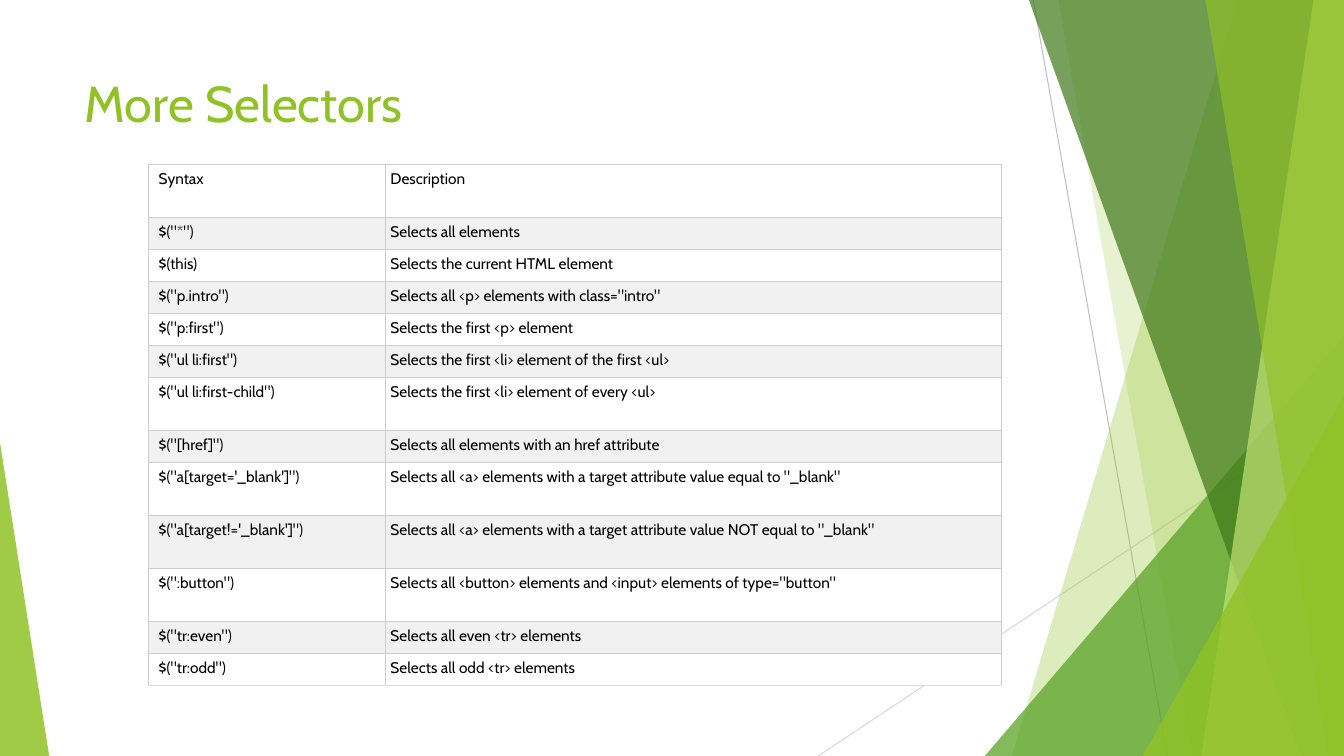
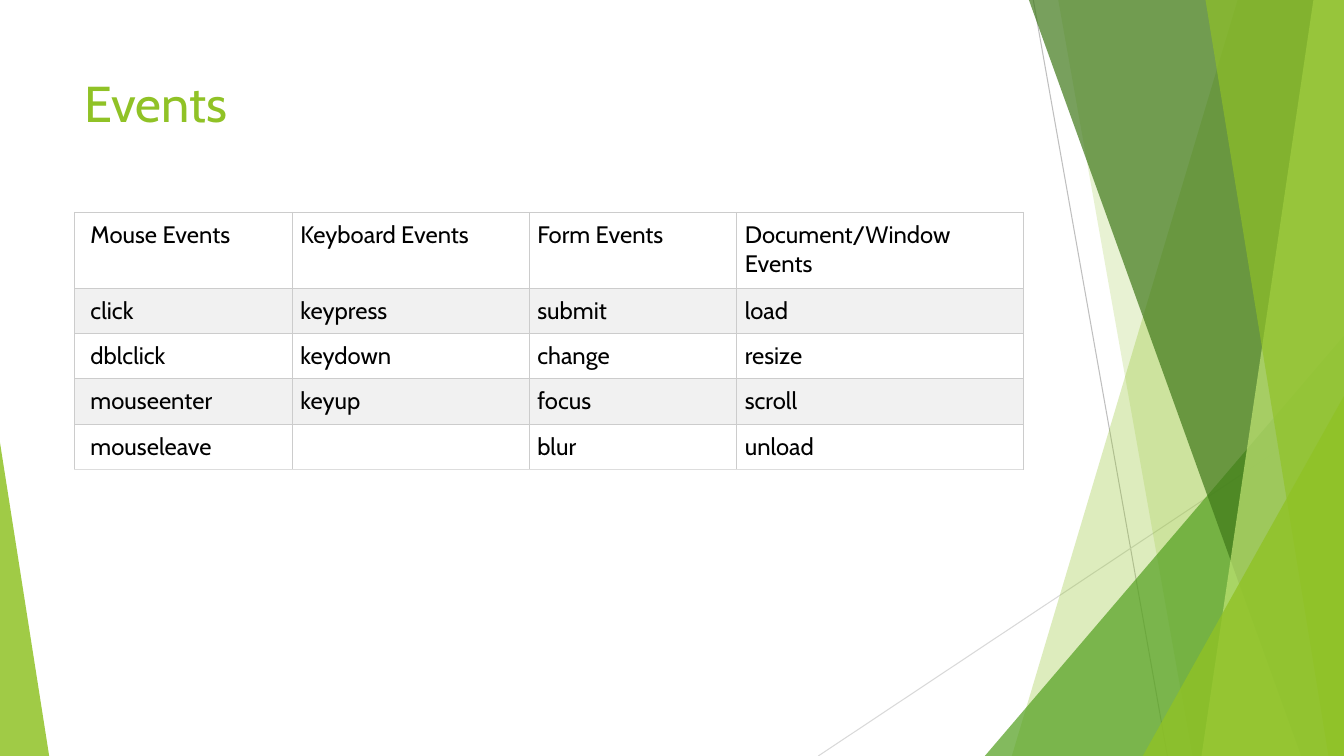
import lxml.etree
import pptx
import pptx.dml.color
import pptx.enum.shapes
import pptx.oxml.ns
import pptx.util

Cm = pptx.util.Cm
Pt = pptx.util.Pt
RGBColor = pptx.dml.color.RGBColor
qn = pptx.oxml.ns.qn

LIME = RGBColor(0x90, 0xC2, 0x26)
GREEN = RGBColor(0x54, 0xA0, 0x21)
FOREST = RGBColor(0x3F, 0x78, 0x19)
PALE_LIME = RGBColor(0xC0, 0xE4, 0x74)
BLACK = RGBColor(0x00, 0x00, 0x00)
WHITE = RGBColor(0xFF, 0xFF, 0xFF)
ROW_GREY = RGBColor(0xF1, 0xF1, 0xF1)
BORDER_GREY = RGBColor(0xCC, 0xCC, 0xCC)
BOTTOM_GREY = RGBColor(0xDD, 0xDD, 0xDD)
LINE_DARK = RGBColor(0xBF, 0xBF, 0xBF)
LINE_LIGHT = RGBColor(0xD9, 0xD9, 0xD9)

FONT = "Cabin"
WIDTH, HEIGHT = 33.87, 19.05

THIN_LINES = [
    (26.04, 0, 29.42, HEIGHT, LINE_DARK),
    (WIDTH, 10.24, 20.62, HEIGHT, LINE_LIGHT),
]

# band: top x, bottom x; triangle: left, top, right, apex
LAYERS = [
    ("band", (31.19, 25.5), LIME, 30),
    ("band", (26.67, 30.05), LIME, 20),
    ("triangle", (24.82, 8.46, WIDTH, 1), GREEN, 72),
    ("band", (25.93, 32.79), FOREST, 70),
    ("band", (33.1, 30.28), PALE_LIME, 70),
    ("band", (30.38, 33.48), LIME, 65),
    ("triangle", (28.8, 9.98, WIDTH, 1), LIME, 80),
    ("triangle", (0, 11.15, 1.24, 0), LIME, 85),
]

SELECTORS = [
    ("Syntax", "Description"),
    ('$("*")', "Selects all elements"),
    ("$(this)", "Selects the current HTML element"),
    ('$("p.intro")', 'Selects all <p> elements with class="intro"'),
    ('$("p:first")', "Selects the first <p> element"),
    ('$("ul li:first")', "Selects the first <li> element of the first <ul>"),
    ('$("ul li:first-child")', "Selects the first <li> element of every <ul>"),
    ('$("[href]")', "Selects all elements with an href attribute"),
    ("$(\"a[target='_blank']\")",
     'Selects all <a> elements with a target attribute value equal to "_blank"'),
    ("$(\"a[target!='_blank']\")",
     'Selects all <a> elements with a target attribute value NOT equal to "_blank"'),
    ('$(":button")',
     'Selects all <button> elements and <input> elements of type="button"'),
    ('$("tr:even")', "Selects all even <tr> elements"),
    ('$("tr:odd")', "Selects all odd <tr> elements"),
]

EVENTS = [
    ("Mouse Events", "Keyboard Events", "Form Events", "Document/Window Events"),
    ("click", "keypress", "submit", "load"),
    ("dblclick", "keydown", "change", "resize"),
    ("mouseenter", "keyup", "focus", "scroll"),
    ("mouseleave", "", "blur", "unload"),
]

SLIDES = [
    {"title": "More Selectors", "rows": SELECTORS, "left": 3.74, "top": 4.14,
     "columns": (5.97, 15.52), "height": 0.81, "tall": 1.33,
     "tall_rows": (0, 6, 8, 9, 10), "size": 11, "margin": 0.13},
    {"title": "Events", "rows": EVENTS, "left": 1.88, "top": 5.35,
     "columns": (5.49, 5.97, 5.23, 7.21), "height": 1.14, "tall": 1.92,
     "tall_rows": (0,), "size": 17, "margin": 0.2},
]


def format_text(text_frame, size, color):
    for paragraph in text_frame.paragraphs:
        for run in paragraph.runs:
            run.font.name = FONT
            run.font.size = Pt(size)
            run.font.color.rgb = color


def add_border(cell, side, color):
    properties = cell._tc.get_or_add_tcPr()
    line = lxml.etree.SubElement(properties, qn("a:" + side), w=str(Pt(0.75)))
    fill = lxml.etree.SubElement(line, qn("a:solidFill"))
    lxml.etree.SubElement(fill, qn("a:srgbClr"), val=str(color))


presentation = pptx.Presentation()
presentation.slide_width = Cm(WIDTH)
presentation.slide_height = Cm(HEIGHT)

for content in SLIDES:
    slide = presentation.slides.add_slide(presentation.slide_layouts[6])
    shapes = slide.shapes

    for x1, y1, x2, y2, color in THIN_LINES:
        connector = shapes.add_connector(
            pptx.enum.shapes.MSO_CONNECTOR.STRAIGHT, Cm(x1), Cm(y1), Cm(x2), Cm(y2))
        connector.line.color.rgb = color
        connector.line.width = Pt(0.75)
        lxml.etree.SubElement(connector._element.spPr, qn("a:effectLst"))

    for kind, geometry, color, opacity in LAYERS:
        if kind == "band":
            top_x, bottom_x = geometry
            builder = shapes.build_freeform(Cm(top_x), 0)
            builder.add_line_segments([
                (Cm(WIDTH), 0), (Cm(WIDTH), Cm(HEIGHT)), (Cm(bottom_x), Cm(HEIGHT))])
            shape = builder.convert_to_shape()
        else:
            left, top, right, apex = geometry
            shape = shapes.add_shape(
                pptx.enum.shapes.MSO_SHAPE.ISOSCELES_TRIANGLE,
                Cm(left), Cm(top), Cm(right - left), Cm(HEIGHT - top))
            shape.adjustments[0] = apex
        shape.shadow.inherit = False
        shape.line.fill.background()
        shape.fill.solid()
        shape.fill.fore_color.rgb = color
        fill_color = shape._element.spPr.find(qn("a:solidFill")).find(qn("a:srgbClr"))
        lxml.etree.SubElement(fill_color, qn("a:alpha"), val=str(opacity * 1000))

    title = shapes.add_textbox(Cm(1.88), Cm(1.7), Cm(23.88), Cm(3.66))
    title.text_frame.word_wrap = True
    title.text_frame.text = content["title"]
    format_text(title.text_frame, 36, LIME)

    rows = content["rows"]
    columns = content["columns"]
    heights = [content["tall"] if index in content["tall_rows"] else content["height"]
               for index in range(len(rows))]
    table = shapes.add_table(
        len(rows), len(columns), Cm(content["left"]), Cm(content["top"]),
        Cm(sum(columns)), Cm(sum(heights))).table
    table.first_row = False
    table.horz_banding = False
    for column, width in zip(table.columns, columns):
        column.width = Cm(width)

    margin = content["margin"]
    for row_index, texts in enumerate(rows):
        table.rows[row_index].height = Cm(heights[row_index])
        bottom_color = BOTTOM_GREY if row_index == len(rows) - 1 else BORDER_GREY
        for column_index, text in enumerate(texts):
            cell = table.cell(row_index, column_index)
            for side in ("lnL", "lnR", "lnT"):
                add_border(cell, side, BORDER_GREY)
            add_border(cell, "lnB", bottom_color)
            cell.fill.solid()
            cell.fill.fore_color.rgb = ROW_GREY if row_index % 2 else WHITE
            if text:
                cell.margin_left = Cm(margin if column_index else margin * 2)
                cell.margin_right = cell.margin_top = cell.margin_bottom = Cm(margin)
                cell.text_frame.text = text
                format_text(cell.text_frame, content["size"], BLACK)

presentation.save("out.pptx")
